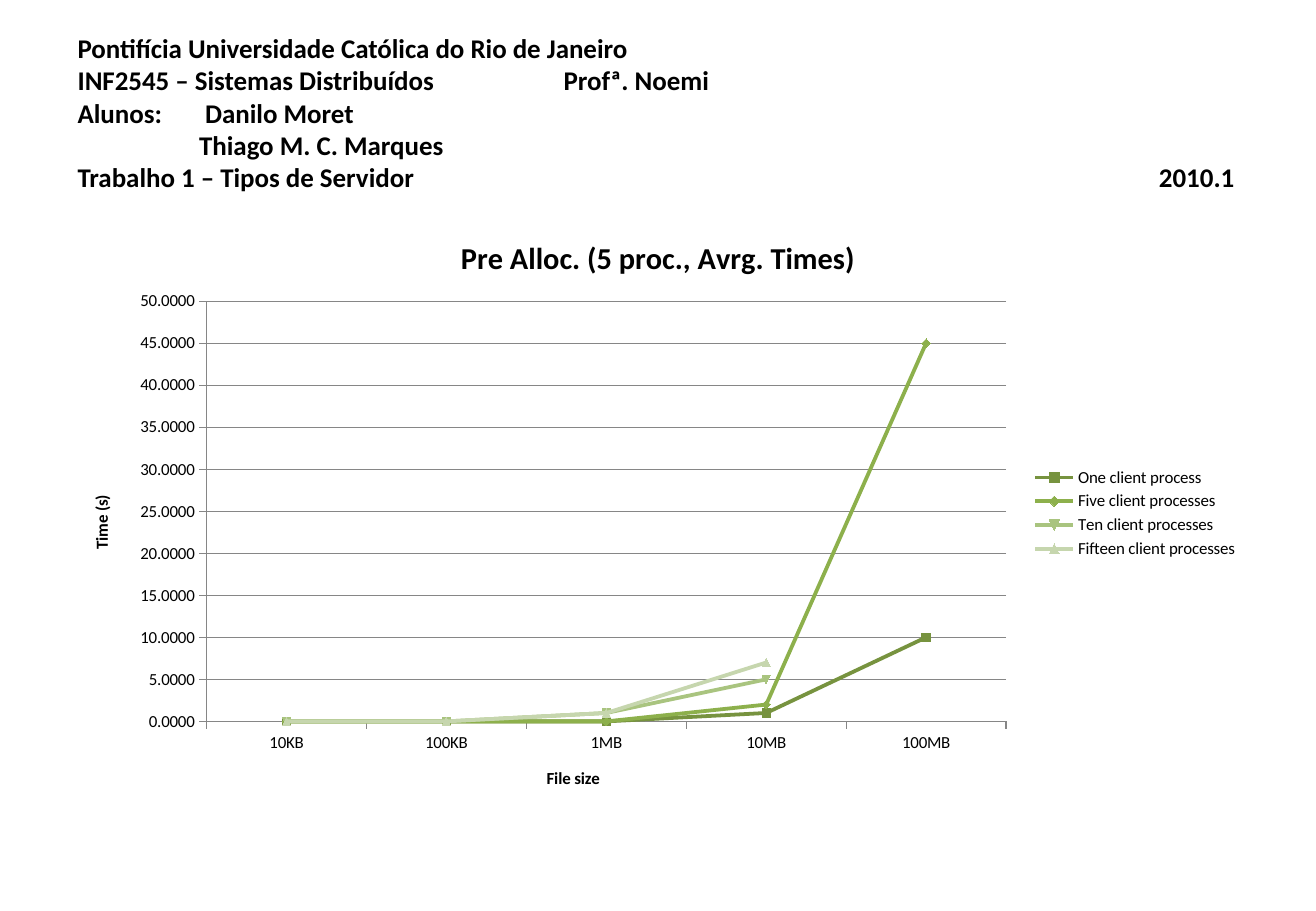
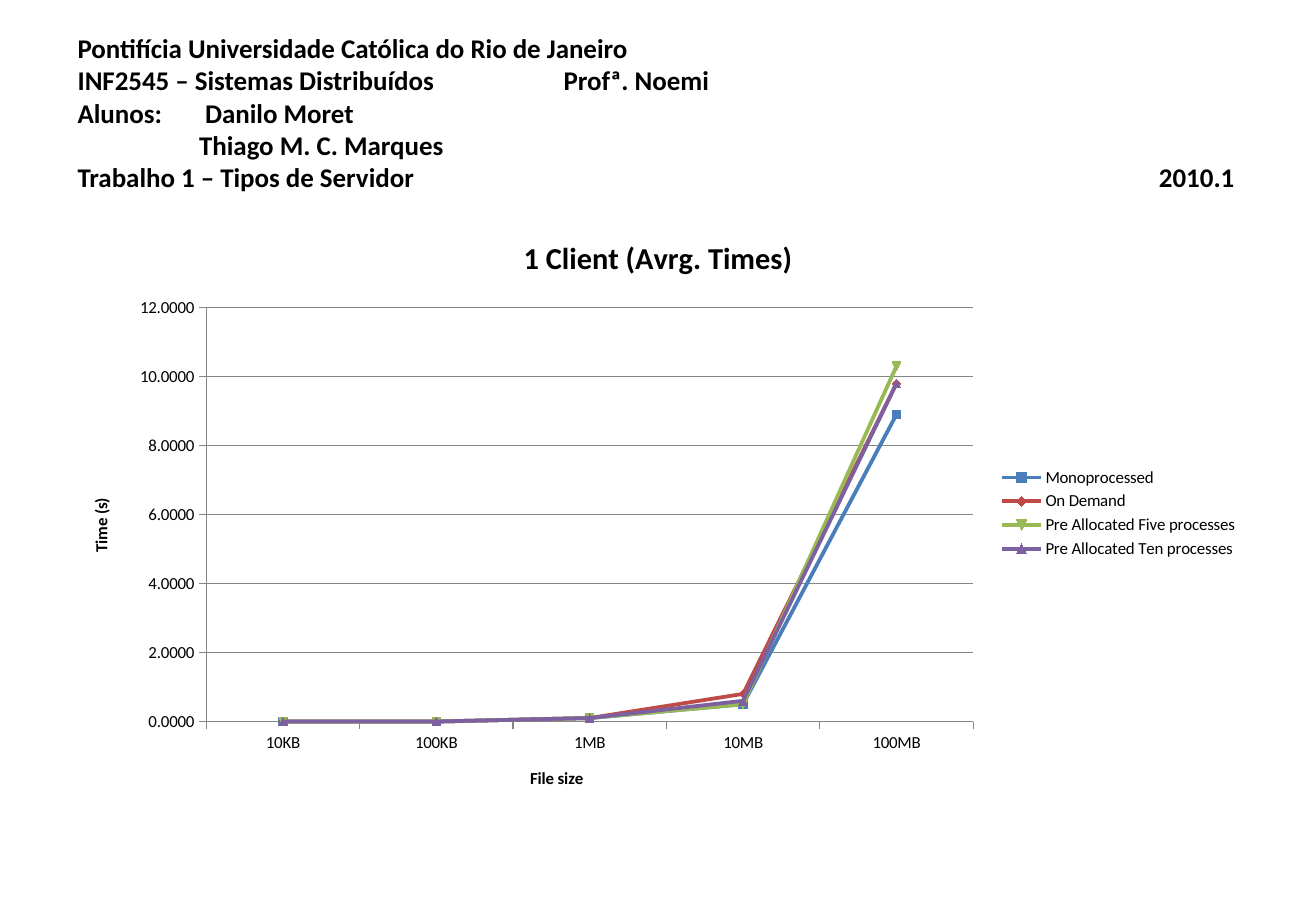
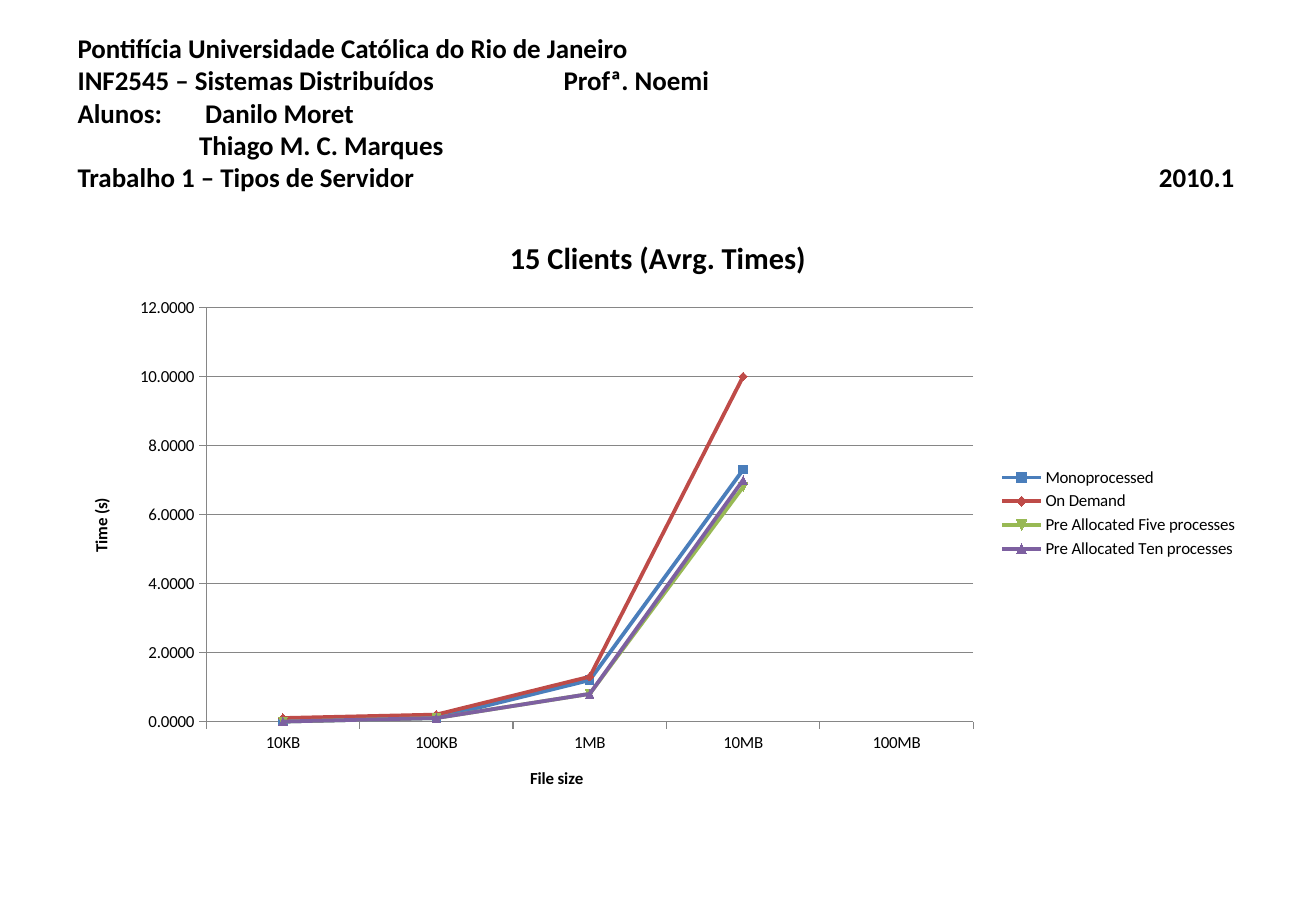
from dataclasses import dataclass
from typing import Optional

from lxml import etree
from pptx import Presentation
from pptx.chart.axis import CategoryAxis, ValueAxis
from pptx.chart.chart import Chart
from pptx.chart.data import CategoryChartData
from pptx.dml.color import RGBColor
from pptx.enum.chart import XL_CHART_TYPE, XL_LEGEND_POSITION, XL_TICK_MARK
from pptx.enum.text import MSO_ANCHOR
from pptx.oxml.ns import qn
from pptx.slide import Slide
from pptx.text.text import Font, TextFrame
from pptx.util import Inches, Pt

LINE_MARKERS = XL_CHART_TYPE.LINE_MARKERS
LEGEND_RIGHT = XL_LEGEND_POSITION.RIGHT
TICK_OUTSIDE = XL_TICK_MARK.OUTSIDE
ANCHOR_MIDDLE = MSO_ANCHOR.MIDDLE

# Shared style
FONT_NAME = "Calibri"
BLACK = RGBColor(0x00, 0x00, 0x00)
AXIS_GRAY = RGBColor(0x86, 0x86, 0x86)
GREEN_SHADES = (
    RGBColor(0x77, 0x93, 0x3F),
    RGBColor(0x8D, 0xB0, 0x4C),
    RGBColor(0xA9, 0xC4, 0x7F),
    RGBColor(0xC6, 0xD6, 0xAE),
)
SERVER_COLORS = (
    RGBColor(0x4A, 0x7E, 0xBB),
    RGBColor(0xBE, 0x4B, 0x48),
    RGBColor(0x98, 0xB9, 0x54),
    RGBColor(0x7D, 0x60, 0xA0),
)
LEFT, WIDTH = Inches(0.54), Inches(9.75)
CHART_TOP, CHART_HEIGHT = Inches(1.75), Inches(4.95)

# Header text and its tab stops (inches, alignment)
HEADER_LINES = (
    "Pontifícia Universidade Católica do Rio de Janeiro",
    "INF2545 – Sistemas Distribuídos\tProfª. Noemi",
    "Alunos:\t Danilo Moret",
    "\tThiago M. C. Marques",
    "Trabalho 1 – Tipos de Servidor\t2010.1",
)
HEADER_TABS = {1: (4.0, "l"), 2: (1.0, "l"), 3: (1.0, "l"), 4: (9.52, "r")}

FILE_SIZES = ("10KB", "100KB", "1MB", "10MB", "100MB")
CLIENT_NAMES = (
    "One client process",
    "Five client processes",
    "Ten client processes",
    "Fifteen client processes",
)
SERVER_NAMES = (
    "Monoprocessed",
    "On Demand",
    "Pre Allocated Five processes",
    "Pre Allocated Ten processes",
)


@dataclass(frozen=True)
class PlotArea:
    """Inner plot rectangle in inches on the slide."""
    left: float
    top: float
    width: float
    height: float


@dataclass(frozen=True)
class TimingChart:
    title: str
    names: tuple[str, ...]
    colors: tuple[RGBColor, ...]
    times: tuple[tuple[Optional[float], ...], ...]
    maximum: float
    step: float
    plot_area: Optional[PlotArea] = None


CHARTS = (
    TimingChart(
        "Pre Alloc. (5 proc., Avrg. Times)", CLIENT_NAMES, GREEN_SHADES,
        ((0, 0, 0, 1, 10),
         (0, 0, 0, 2, 45),
         (0, 0, 1, 5, None),
         (0, 0, 1, 7, None)),
        50, 5, PlotArea(1.7, 2.48, 6.58, 3.46),
    ),
    TimingChart(
        "1 Client (Avrg. Times)", SERVER_NAMES, SERVER_COLORS,
        ((0, 0, 0.1, 0.5, 8.9),
         (0, 0, 0.1, 0.8, 9.8),
         (0, 0, 0.1, 0.5, 10.3),
         (0, 0, 0.1, 0.6, 9.8)),
        12, 2,
    ),
    TimingChart(
        "15 Clients (Avrg. Times)", SERVER_NAMES, SERVER_COLORS,
        ((0, 0.1, 1.2, 7.3, None),
         (0.1, 0.2, 1.3, 10, None),
         (0, 0.1, 0.8, 6.8, None),
         (0, 0.1, 0.8, 7, None)),
        12, 2,
    ),
)


def set_font(font: Font, size: float, bold: bool) -> None:
    font.name = FONT_NAME
    font.size = Pt(size)
    font.bold = bold
    font.color.rgb = BLACK


def add_header(page: Slide) -> None:
    box = page.shapes.add_textbox(LEFT, Inches(0.3), WIDTH, Inches(1.25))
    frame = box.text_frame
    frame.word_wrap = True
    frame.vertical_anchor = ANCHOR_MIDDLE
    frame.margin_top = frame.margin_bottom = 0
    for index, line in enumerate(HEADER_LINES):
        para = frame.paragraphs[0] if index == 0 else frame.add_paragraph()
        para.text = line
        if index in HEADER_TABS:
            position, alignment = HEADER_TABS[index]
            tabs = etree.SubElement(para._p.get_or_add_pPr(), qn("a:tabLst"))
            etree.SubElement(tabs, qn("a:tab"), pos=str(Inches(position)), algn=alignment)
        set_font(para.font, 16, True)


def set_chart_title(frame: TextFrame, text: str, size: float) -> None:
    frame.text = text
    set_font(frame.paragraphs[0].font, size, True)


def style_axis(axis: CategoryAxis | ValueAxis, title: str) -> None:
    set_chart_title(axis.axis_title.text_frame, title, 10)
    axis.major_tick_mark = TICK_OUTSIDE
    axis.format.line.color.rgb = AXIS_GRAY
    axis.format.line.width = Pt(0.75)
    set_font(axis.tick_labels.font, 10, False)


def style_series(chart: Chart, colors: tuple[RGBColor, ...]) -> None:
    for series, color in zip(chart.plots[0].series, colors):
        series.smooth = False
        series.format.line.color.rgb = color
        series.format.line.width = Pt(2.25)
        series.marker.format.fill.solid()
        series.marker.format.fill.fore_color.rgb = color
        series.marker.format.line.color.rgb = color


def place_plot(chart: Chart, area: PlotArea) -> None:
    plot_area = chart._chartSpace.chart.plotArea
    for old_layout in plot_area.findall(qn("c:layout")):
        plot_area.remove(old_layout)
    layout = etree.Element(qn("c:layout"))
    plot_area.insert(0, layout)
    manual = etree.SubElement(layout, qn("c:manualLayout"))
    settings = {
        "layoutTarget": "inner",
        "xMode": "edge",
        "yMode": "edge",
        "x": (Inches(area.left) - LEFT) / WIDTH,
        "y": (Inches(area.top) - CHART_TOP) / CHART_HEIGHT,
        "w": Inches(area.width) / WIDTH,
        "h": Inches(area.height) / CHART_HEIGHT,
    }
    for name, value in settings.items():
        etree.SubElement(manual, qn(f"c:{name}"), val=str(value))


def add_timing_chart(page: Slide, timing: TimingChart) -> None:
    data = CategoryChartData(number_format="0.0000")
    data.categories = FILE_SIZES
    for name, times in zip(timing.names, timing.times):
        data.add_series(name, times)
    chart = page.shapes.add_chart(
        LINE_MARKERS, LEFT, CHART_TOP, WIDTH, CHART_HEIGHT, data
    ).chart
    set_font(chart.font, 10, False)
    set_chart_title(chart.chart_title.text_frame, timing.title, 18)
    chart.plots[0].vary_by_categories = False
    style_series(chart, timing.colors)
    if timing.plot_area:
        place_plot(chart, timing.plot_area)

    # Axes
    style_axis(chart.category_axis, "File size")
    value_axis = chart.value_axis
    style_axis(value_axis, "Time (s)")
    value_axis.minimum_scale = 0
    value_axis.maximum_scale = timing.maximum
    value_axis.major_unit = timing.step
    value_axis.tick_labels.number_format = "0.0000"
    value_axis.tick_labels.number_format_is_linked = False
    value_axis.has_major_gridlines = True
    value_axis.major_gridlines.format.line.color.rgb = AXIS_GRAY
    value_axis.major_gridlines.format.line.width = Pt(0.75)

    # Legend
    chart.has_legend = True
    chart.legend.position = LEGEND_RIGHT
    chart.legend.include_in_layout = False
    set_font(chart.legend.font, 10, False)


def main() -> None:
    deck = Presentation()
    deck.slide_width, deck.slide_height = Inches(10.83), Inches(7.5)
    blank_layout = deck.slide_layouts[6]
    for timing in CHARTS:
        page = deck.slides.add_slide(blank_layout)
        add_header(page)
        add_timing_chart(page, timing)
    deck.save("out.pptx")


if __name__ == "__main__":
    main()
